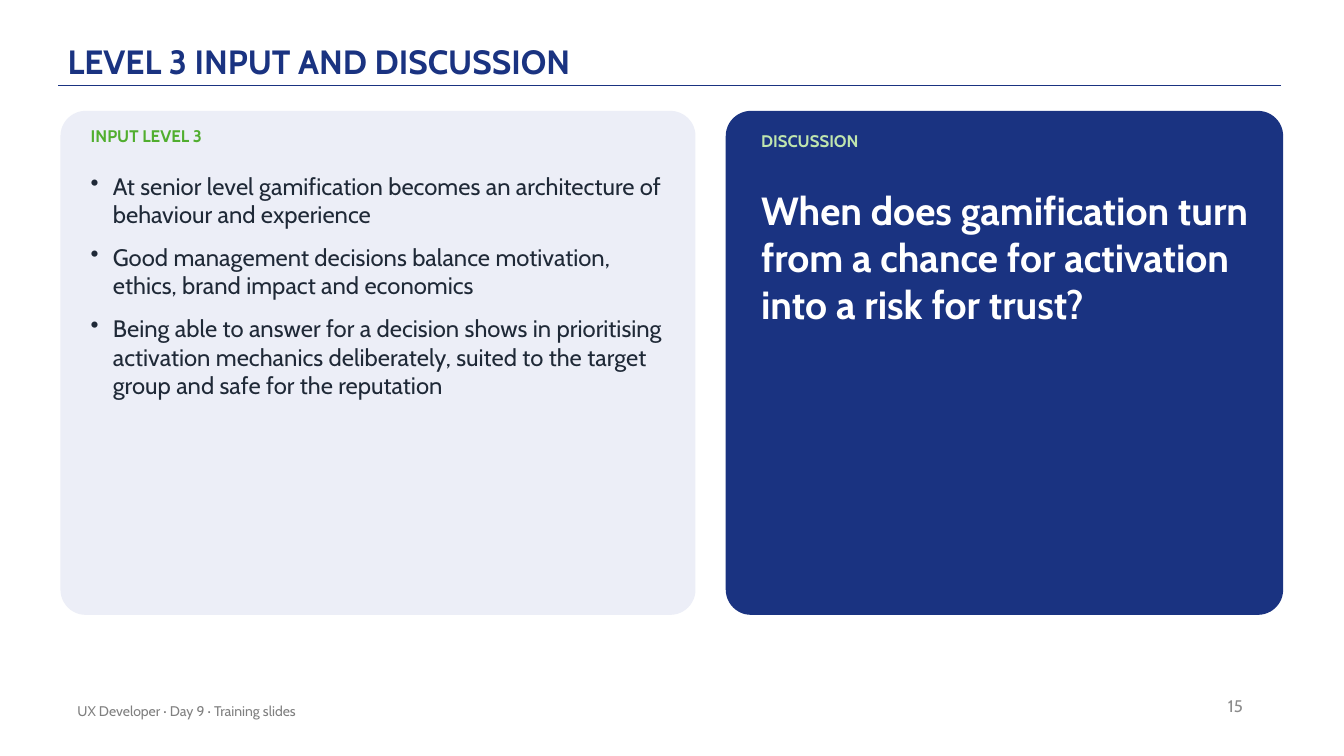
from dataclasses import dataclass

from lxml import etree
from pptx import Presentation
from pptx import util as u
from pptx.dml.color import RGBColor
from pptx.enum import shapes, text
from pptx.oxml import ns

COLUMNS, ROWS = 133.33, 75
CELL = u.Inches(0.1)
FONT = "Cabin"
COLOURS = {
    "navy": "1A3381",
    "mist": "ECEEF7",
    "green": "51AE2F",
    "mint": "BFE5AE",
    "ink": "1F2937",
    "white": "FFFFFF",
    "grey": "808080",
    "light_grey": "8C8C8C",
}


@dataclass(frozen=True)
class Area:
    column: float
    row: float
    columns: float
    rows: float

    def emu(self) -> list[int]:
        return [cells(n) for n in (self.column, self.row, self.columns, self.rows)]


@dataclass(frozen=True)
class Panel:
    area: Area
    colour: str


@dataclass(frozen=True)
class Copy:
    area: Area
    lines: tuple[str, ...]
    size: float
    colour: str
    bold: bool = False
    bulleted: bool = False
    space_after: float = 0
    line_spacing: float = 1.0
    align: text.PP_ALIGN = text.PP_ALIGN.LEFT
    anchor: text.MSO_ANCHOR = text.MSO_ANCHOR.TOP
    inset_x: float = 0
    inset_y: float = 0


def cells(count: float) -> int:
    return round(count * CELL)


def rgb(name: str) -> RGBColor:
    return RGBColor.from_string(COLOURS[name])


def draw_rule(slide, start: float, end: float, row: float) -> None:
    rule = slide.shapes.add_connector(
        shapes.MSO_CONNECTOR.STRAIGHT, cells(start), cells(row), cells(end), cells(row)
    )
    rule.line.color.rgb = rgb("navy")
    rule.line.width = u.Pt(1)
    etree.SubElement(rule._element.spPr, ns.qn("a:effectLst"))


def draw_panel(slide, panel: Panel) -> None:
    card = slide.shapes.add_shape(
        shapes.MSO_SHAPE.ROUNDED_RECTANGLE, *panel.area.emu()
    )
    card.adjustments[0] = 0.05
    card.shadow.inherit = False
    card.fill.solid()
    card.fill.fore_color.rgb = rgb(panel.colour)
    card.line.fill.background()


def add_bullet(paragraph) -> None:
    properties = paragraph._p.get_or_add_pPr()
    indent = u.Inches(0.22)
    properties.set("marL", str(indent))
    properties.set("indent", str(-indent))
    etree.SubElement(properties, ns.qn("a:buChar"), char="•")


def draw_copy(slide, copy: Copy) -> None:
    frame = slide.shapes.add_textbox(*copy.area.emu()).text_frame
    frame.word_wrap = True
    frame.vertical_anchor = copy.anchor
    frame.margin_left = frame.margin_right = cells(copy.inset_x)
    frame.margin_top = frame.margin_bottom = cells(copy.inset_y)
    for index, line in enumerate(copy.lines):
        paragraph = frame.add_paragraph() if index else frame.paragraphs[0]
        if copy.bulleted:
            add_bullet(paragraph)
        paragraph.alignment = copy.align
        paragraph.line_spacing = copy.line_spacing
        paragraph.space_after = u.Pt(copy.space_after)
        run = paragraph.add_run()
        run.text = line
        run.font.name = FONT
        run.font.size = u.Pt(copy.size)
        run.font.bold = copy.bold
        run.font.color.rgb = rgb(copy.colour)


PANELS = (
    Panel(Area(6, 11, 63, 50), "mist"),
    Panel(Area(72, 11, 55.3, 50), "navy"),
)

COPIES = (
    Copy(
        Area(6.7, 1.2, 110, 7.2), ("LEVEL 3 INPUT AND DISCUSSION",), 24, "navy",
        bold=True, line_spacing=0.9, anchor=text.MSO_ANCHOR.BOTTOM, inset_y=0.3,
    ),
    Copy(
        Area(94.3, 68, 30, 4), ("15",), 12, "light_grey", align=text.PP_ALIGN.RIGHT,
        anchor=text.MSO_ANCHOR.MIDDLE, inset_x=1, inset_y=0.5,
    ),
    Copy(
        Area(6.7, 68.5, 67, 4), ("UX Developer · Day 9 · Training slides",), 10, "grey",
        anchor=text.MSO_ANCHOR.MIDDLE, inset_x=1, inset_y=0.5,
    ),
    Copy(
        Area(9, 12.5, 57, 3.5), ("INPUT LEVEL 3",), 12, "green",
        bold=True, space_after=6,
    ),
    Copy(
        Area(9, 17, 57, 42),
        (
            "At senior level gamification becomes an architecture of behaviour and experience",
            "Good management decisions balance motivation, ethics, brand impact and economics",
            "Being able to answer for a decision shows in prioritising activation mechanics "
            "deliberately, suited to the target group and safe for the reputation",
        ),
        17, "ink", bulleted=True, space_after=10,
    ),
    Copy(
        Area(75.5, 13, 45, 3.5), ("DISCUSSION",), 12, "mint",
        bold=True, space_after=6,
    ),
    Copy(
        Area(75.5, 18.5, 48.3, 40),
        ("When does gamification turn from a chance for activation into a risk for trust?",),
        28, "white", bold=True, space_after=6,
    ),
)


def main() -> None:
    deck = Presentation()
    deck.slide_width, deck.slide_height = cells(COLUMNS), cells(ROWS)
    slide = deck.slides.add_slide(deck.slide_layouts[6])
    draw_rule(slide, 127.1, 5.8, 8.5)
    for panel in PANELS:
        draw_panel(slide, panel)
    for copy in COPIES:
        draw_copy(slide, copy)
    deck.save("out.pptx")


if __name__ == "__main__":
    main()
